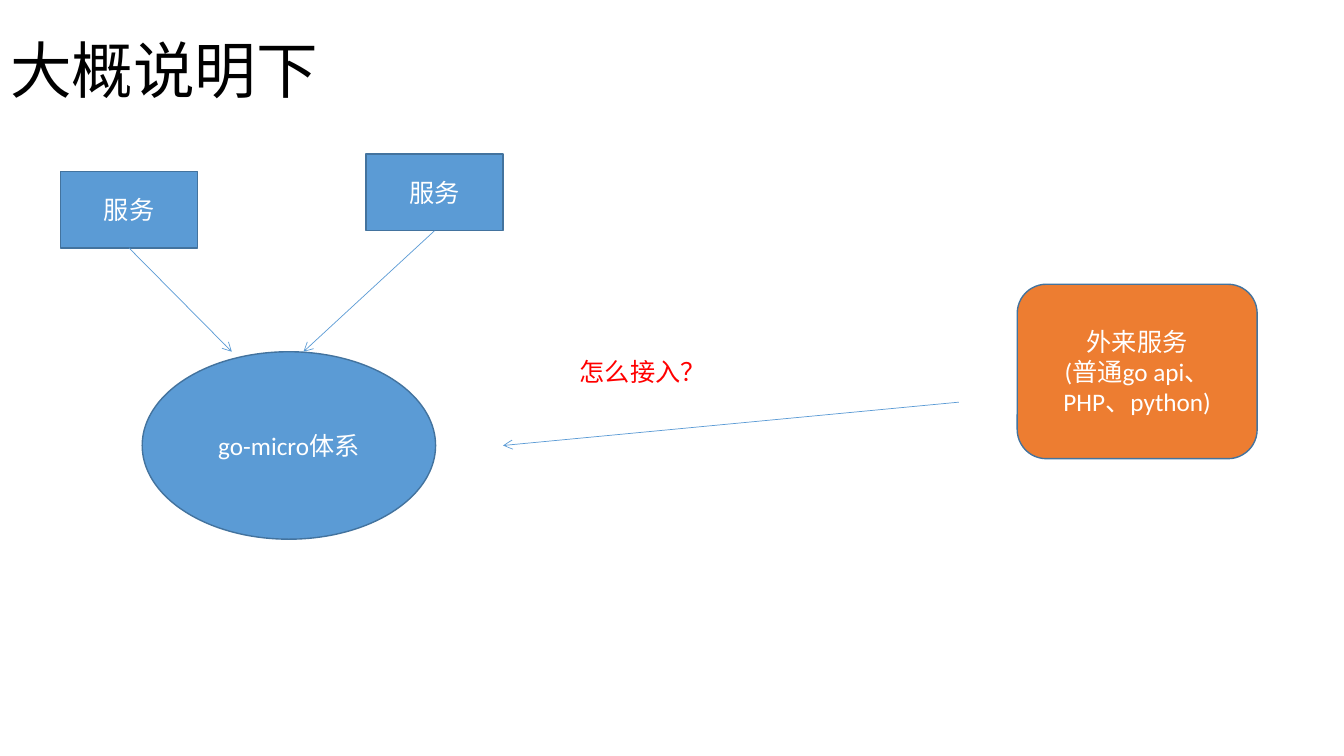
from lxml.etree import SubElement
from pptx import Presentation
from pptx.dml.color import RGBColor
from pptx.enum.lang import MSO_LANGUAGE_ID
from pptx.enum.shapes import MSO_CONNECTOR, MSO_SHAPE
from pptx.enum.text import MSO_ANCHOR, MSO_AUTO_SIZE, PP_ALIGN
from pptx.oxml.ns import qn
from pptx.util import Inches, Pt

BLACK = RGBColor(0x00, 0x00, 0x00)
WHITE = RGBColor(0xFF, 0xFF, 0xFF)
RED = RGBColor(0xFF, 0x00, 0x00)
BLUE = RGBColor(0x5B, 0x9B, 0xD5)
DARK_BLUE = RGBColor(0x43, 0x73, 0x9E)
ORANGE = RGBColor(0xED, 0x7D, 0x31)


class Deck:
    """Style and current slide; lengths are percentages of the slide size."""
    font = "Calibri"
    body_size = 18
    title_size = 44

    def __init__(self, prs):
        self.prs = prs
        self.s = prs.slides.add_slide(prs.slide_layouts[5])

    def x(self, share):
        return round(self.prs.slide_width * share / 100)

    def y(self, share):
        return round(self.prs.slide_height * share / 100)

    def box(self, left, top, width, height):
        return self.x(left), self.y(top), self.x(width), self.y(height)

    def add_text(self, tf, lines, color, size=body_size, align=PP_ALIGN.LEFT):
        tf.word_wrap = True
        for i, line in enumerate(lines):
            p = tf.add_paragraph() if i else tf.paragraphs[0]
            p.alignment = align
            r = p.add_run()
            r.text = line
            r.font.name = self.font
            r.font.size = Pt(size)
            r.font.color.rgb = color
            r.font.language_id = MSO_LANGUAGE_ID.SIMPLIFIED_CHINESE

    def title(self, text, *area):
        sp = self.s.shapes.title
        sp.left, sp.top, sp.width, sp.height = self.box(*area)
        tf = sp.text_frame
        tf.vertical_anchor = MSO_ANCHOR.MIDDLE
        self.add_text(tf, [text], BLACK, self.title_size)
        tf.paragraphs[0].line_spacing = 0.9

    def node(self, kind, lines, fill, *area):
        sp = self.s.shapes.add_shape(kind, *self.box(*area))
        sp.shadow.inherit = False
        sp.fill.solid()
        sp.fill.fore_color.rgb = fill
        sp.line.color.rgb = DARK_BLUE
        sp.line.width = Pt(1)
        sp.text_frame.vertical_anchor = MSO_ANCHOR.MIDDLE
        self.add_text(sp.text_frame, lines, WHITE, align=PP_ALIGN.CENTER)

    def label(self, text, color, *area):
        tf = self.s.shapes.add_textbox(*self.box(*area)).text_frame
        self.add_text(tf, [text], color)
        tf.auto_size = MSO_AUTO_SIZE.SHAPE_TO_FIT_TEXT

    def arrow(self, x1, y1, x2, y2):
        c = self.s.shapes.add_connector(
            MSO_CONNECTOR.STRAIGHT, self.x(x1), self.y(y1), self.x(x2), self.y(y2))
        c.line.color.rgb = BLUE
        c.line.width = Pt(0.5)
        sp_pr = c._element.spPr
        SubElement(sp_pr.find(qn("a:ln")), qn("a:tailEnd"), type="arrow")
        SubElement(sp_pr, qn("a:effectLst"))


prs = Presentation()
prs.slide_width, prs.slide_height = Inches(13.33), Inches(7.5)
deck = Deck(prs)
deck.title("大概说明下", 0, 0, 86.27, 19.33)

# Core system
core_top = 46.53
deck.node(MSO_SHAPE.OVAL, ["go-micro体系"], BLUE, 10.58, core_top, 21.83, 24.8)

# Services, each pointing from its bottom centre to the core
service_w, service_h = 10.2, 10.13
for left, top, target in [(4.5, 22.67, 17.25), (27.23, 20.4, 22.58)]:
    deck.node(MSO_SHAPE.RECTANGLE, ["服务"], BLUE, left, top, service_w, service_h)
    deck.arrow(left + service_w / 2, top + service_h, target, core_top)

# External service and the open question
deck.node(MSO_SHAPE.ROUNDED_RECTANGLE, ["外来服务", "(普通go api、PHP、python)"],
          ORANGE, 75.69, 37.6, 17.85, 23.07)
deck.arrow(71.34, 53.2, 37.43, 58.93)
deck.label("怎么接入？", RED, 42.39, core_top, 17.55, 5.33)

prs.save("out.pptx")
